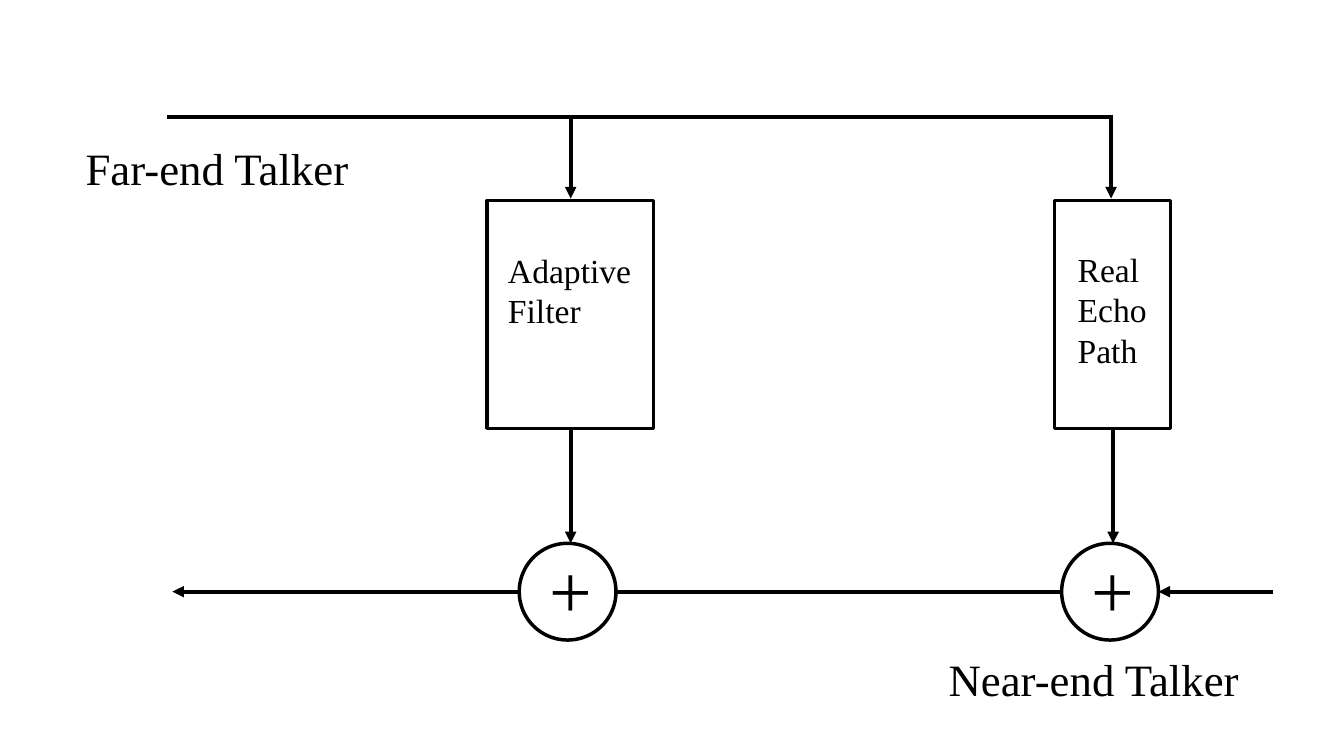
from lxml import etree
from pptx import Presentation
from pptx import util as u
from pptx.dml.color import RGBColor
from pptx.enum import shapes, text
from pptx.oxml.ns import qn

BLACK = RGBColor(0, 0, 0)
FONT = "Times New Roman"
WIRE_WIDTH, OUTLINE_WIDTH = 2.75, 2.5
LINE_HEIGHT = 1.2

FAR_Y, BLOCK_TOP, BLOCK_HEIGHT = 1.16, 1.99, 2.26
BLOCK_BOTTOM = BLOCK_TOP + BLOCK_HEIGHT
SUM_TOP, SUM_SIZE = 5.39, 0.96
NEAR_Y = SUM_TOP + SUM_SIZE / 2
FILTER_X, ECHO_X = 5.66, 11.02
FILTER_SUM, ECHO_SUM = 5.15, 10.53

BLOCKS = [(4.83, 1.65), (10.46, 1.15)]
SUMS = [FILTER_SUM, ECHO_SUM]
WIRES = [
    ((1.66, FAR_Y), (11.04, FAR_Y), False),
    ((FILTER_X, FAR_Y), (FILTER_X, BLOCK_TOP - 0.02), True),
    ((ECHO_X, FAR_Y), (ECHO_X, BLOCK_TOP - 0.02), True),
    ((FILTER_X, BLOCK_BOTTOM), (FILTER_X, SUM_TOP), True),
    ((11.04, BLOCK_BOTTOM), (11.04, SUM_TOP), True),
    ((12.63, NEAR_Y), (ECHO_SUM + SUM_SIZE, NEAR_Y), True),
    ((ECHO_SUM, NEAR_Y), (FILTER_SUM + SUM_SIZE, NEAR_Y), False),
    ((FILTER_SUM, NEAR_Y), (1.71, NEAR_Y), True),
]
LABELS = [
    (["Adaptive", "Filter"], 24, (4.94, 2.43, 1.43, 0.91)),
    (["Real", "Echo", "Path"], 24, (10.59, 2.42, 0.89, 1.31)),
    (["Far-end Talker"], 32, (0.75, 1.35, 2.83, 0.64)),
    (["Near-end Talker"], 32, (9.31, 6.42, 3.11, 0.64)),
] + [(["+"], 54, (left + 0.2, 5.34, 0.73, 1.01)) for left in SUMS]


def inches(*lengths):
    return [u.Inches(length) for length in lengths]


def add_outline(page, kind, *place):
    shape = page.shapes.add_shape(kind, *inches(*place))
    shape.shadow.inherit = False
    shape.fill.background()
    shape.line.color.rgb = BLACK
    shape.line.width = u.Pt(OUTLINE_WIDTH)


def add_wire(page, start, end, arrow):
    wire = page.shapes.add_connector(
        shapes.MSO_CONNECTOR.STRAIGHT, *inches(*start, *end))
    wire.line.color.rgb = BLACK
    wire.line.width = u.Pt(WIRE_WIDTH)
    properties = wire.line._get_or_add_ln()
    if arrow:
        etree.SubElement(properties, qn("a:tailEnd"), type="triangle")
    etree.SubElement(properties.getparent(), qn("a:effectLst"))


def add_label(page, lines, size, place):
    box = page.shapes.add_textbox(*inches(*place))
    frame = box.text_frame
    frame.word_wrap = False
    frame.auto_size = text.MSO_AUTO_SIZE.SHAPE_TO_FIT_TEXT
    for index, line in enumerate(lines):
        para = frame.add_paragraph() if index else frame.paragraphs[0]
        para.line_spacing = u.Pt(size * LINE_HEIGHT)
        span = para.add_run()
        span.text = line
        span.font.name = FONT
        span.font.size = u.Pt(size)
        span.font.color.rgb = BLACK


def main():
    deck = Presentation()
    deck.slide_width, deck.slide_height = inches(13.33, 7.5)
    page = deck.slides.add_slide(deck.slide_layouts[6])
    for wire in WIRES:
        add_wire(page, *wire)
    for left, width in BLOCKS:
        add_outline(page, shapes.MSO_SHAPE.RECTANGLE,
                    left, BLOCK_TOP, width, BLOCK_HEIGHT)
    for left in SUMS:
        add_outline(page, shapes.MSO_SHAPE.OVAL,
                    left, SUM_TOP, SUM_SIZE, SUM_SIZE)
    for label in LABELS:
        add_label(page, *label)
    deck.save("out.pptx")


if __name__ == "__main__":
    main()
